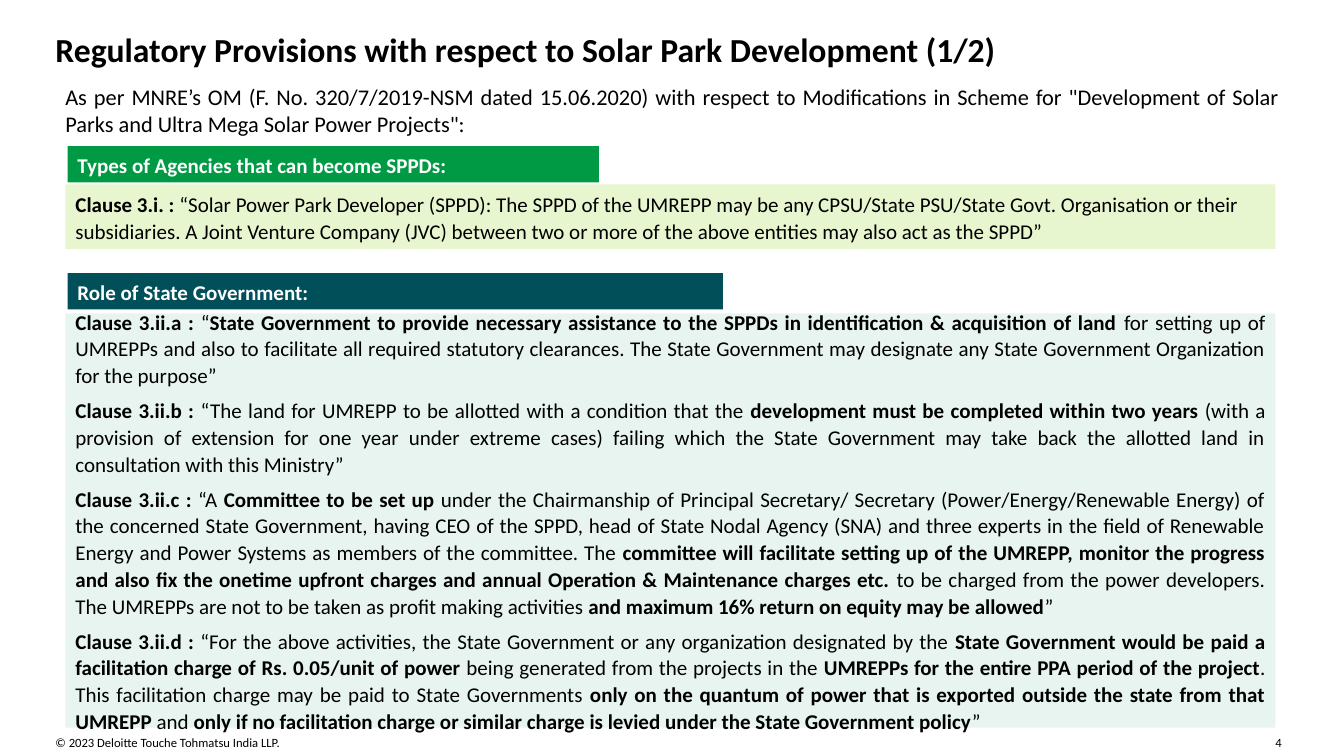
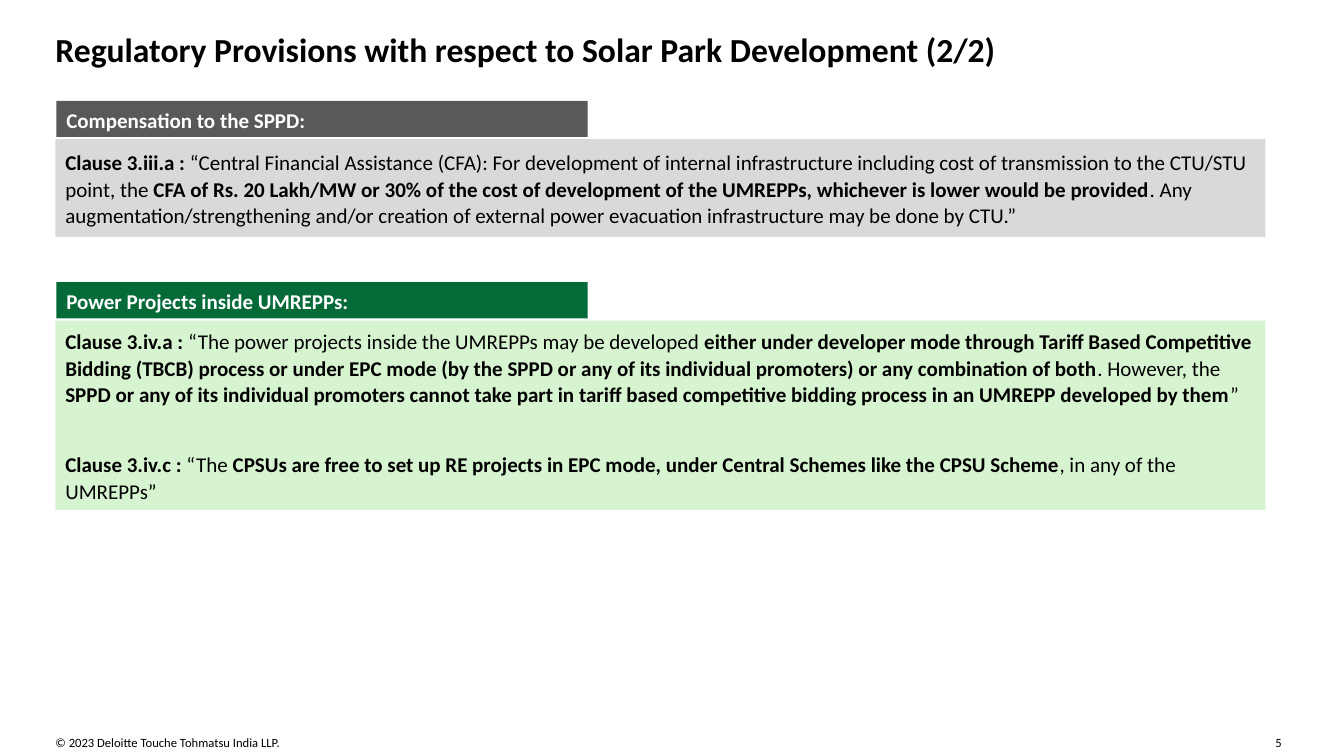
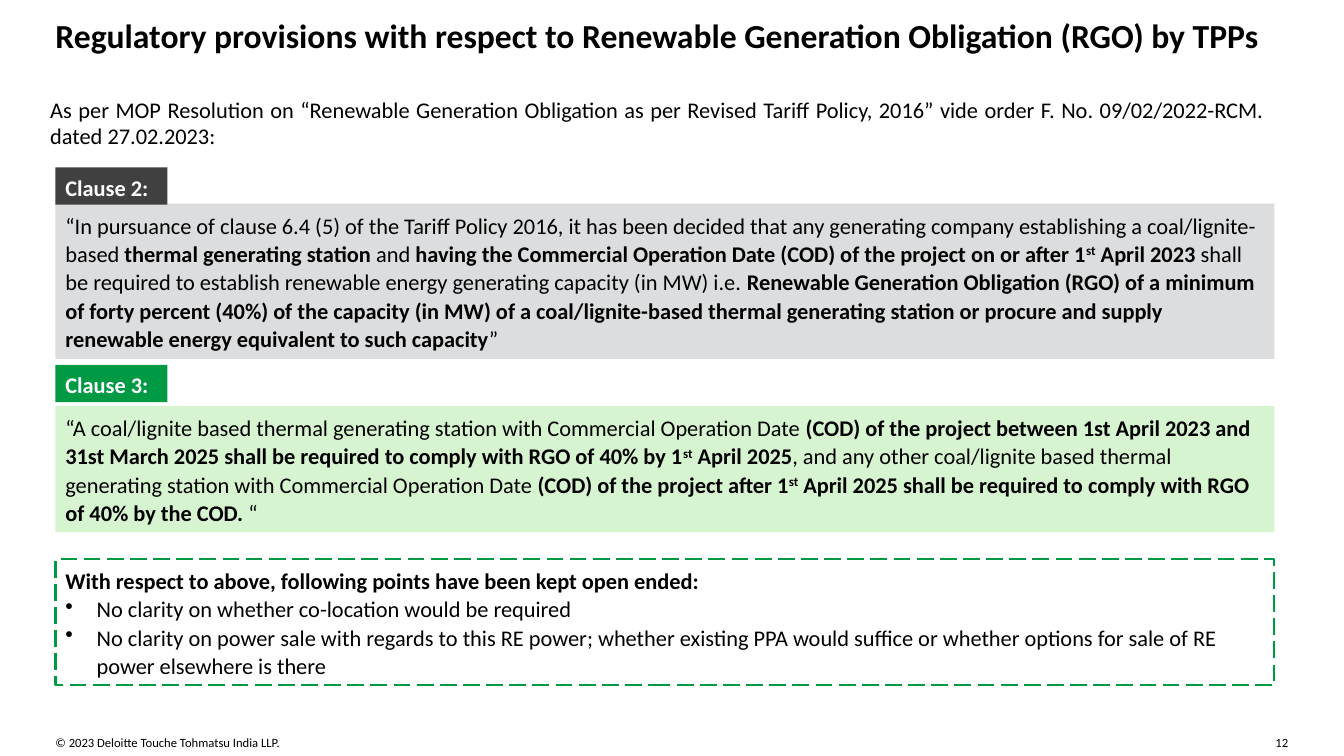
"""Build three slides on the regulatory provisions for solar parks and RGO."""
import lxml.etree
import pptx
import pptx.dml.color
import pptx.enum.dml
import pptx.enum.shapes
import pptx.enum.text
import pptx.oxml.ns
import pptx.util

Inches, Pt = pptx.util.Inches, pptx.util.Pt
LEFT, JUSTIFY = pptx.enum.text.PP_ALIGN.LEFT, pptx.enum.text.PP_ALIGN.JUSTIFY
TOP, MIDDLE = pptx.enum.text.MSO_ANCHOR.TOP, pptx.enum.text.MSO_ANCHOR.MIDDLE
FONT = "Calibri"
BLACK, WHITE, GREEN, LIGHT_GREEN = "000000", "FFFFFF", "009A44", "D7F4D0"
MARGIN = 0.55
FOOTER_TOP = 7.29
COPYRIGHT = "© 2023 Deloitte Touche Tohmatsu India LLP."


def rgb(value):
    """Turn a hex string into a colour."""
    return pptx.dml.color.RGBColor.from_string(value)


def apply(obj, fmt):
    """Set attributes of an object from a dict."""
    for name, value in fmt.items():
        setattr(obj, name, value)


def add_runs(p, text, size, color):
    """Write text in which ** switches bold and ^ switches superscript."""
    for i, part in enumerate(text.split("**")):
        for j, piece in enumerate(part.split("^")):
            if not piece:
                continue
            r = p.add_run()
            r.text = piece
            apply(r.font, {"name": FONT, "size": Pt(size), "bold": i % 2 == 1})
            r.font.color.rgb = rgb(color)
            if j % 2:
                r.font._element.set("baseline", "30000")


def add_bullet(p):
    """Give a paragraph a hanging bullet."""
    pPr = p._p.get_or_add_pPr()
    pPr.set("marL", str(Inches(0.31)))
    pPr.set("indent", str(-Inches(0.31)))
    lxml.etree.SubElement(pPr, pptx.oxml.ns.qn("a:buChar")).set("char", "•")


def fill_text(sp, paras, size, color=BLACK, inset=(0.1, 0.05), anchor=TOP,
              bulleted=False, gap=0, **fmt):
    """Write paragraphs into a shape."""
    tf = sp.text_frame
    dx, dy = Inches(inset[0]), Inches(inset[1])
    apply(tf, {"word_wrap": True, "vertical_anchor": anchor, "margin_left": dx,
               "margin_right": dx, "margin_top": dy, "margin_bottom": dy})
    for i, text in enumerate(paras):
        p = tf.add_paragraph() if i else tf.paragraphs[0]
        if i and bulleted:
            add_bullet(p)
        apply(p, {"alignment": LEFT, **fmt})
        if i and gap:
            p.space_before = Pt(gap)
        add_runs(p, text, size, color)


def add_text(s, at, text, size, **fmt):
    """Add a text box with one paragraph."""
    sp = s.shapes.add_textbox(*map(Inches, at))
    fill_text(sp, [text], size, **fmt)


def add_rect(s, at, fill=None):
    """Add a flat rectangle without outline."""
    sp = s.shapes.add_shape(pptx.enum.shapes.MSO_SHAPE.RECTANGLE, *map(Inches, at))
    sp.shadow.inherit = False
    sp.line.fill.background()
    if fill:
        sp.fill.solid()
        sp.fill.fore_color.rgb = rgb(fill)
    else:
        sp.fill.background()
    return sp


def add_heading(s, at, fill, text, size=15):
    """Add a coloured heading bar."""
    fill_text(add_rect(s, at, fill), [f"**{text}**"], size, WHITE, line_spacing=1.06)


def add_panel(s, at, fill, paras, size=15, **fmt):
    """Add a tinted panel of clauses."""
    fill_text(add_rect(s, at, fill), paras, size, inset=(0.1, 0.1), anchor=MIDDLE,
              **{"line_spacing": 1.06, "space_after": Pt(6), **fmt})


def add_open_points(s, at, paras):
    """Add a dashed box with a lead line and bullets."""
    sp = add_rect(s, at)
    sp.line.color.rgb = rgb(GREEN)
    apply(sp.line, {"width": Pt(1.5), "dash_style": pptx.enum.dml.MSO_LINE.LONG_DASH})
    fill_text(sp, paras, 16, inset=(0.1, 0.1), anchor=MIDDLE, bulleted=True,
              line_spacing=1.06)


def add_slide(prs, title, number, top=0.29):
    """Add a blank slide with title, copyright line and page number."""
    s = prs.slides.add_slide(prs.slide_layouts[6])
    add_text(s, (MARGIN, FOOTER_TOP, 5.86, 0.15), COPYRIGHT, 9, inset=(0, 0))
    add_text(s, (12.65, FOOTER_TOP, 0.15, 0.15), str(number), 9, inset=(0, 0))
    add_text(s, (MARGIN, top, 12.24, 0.37), f"**{title}**", 24, inset=(0, 0))
    return s


def agencies_slide(prs):
    """Build the slide on agencies and the role of the state."""
    s = add_slide(prs, "Regulatory Provisions with respect to Solar Park Development (1/2)", 4)
    add_text(s, (MARGIN, 0.78, 12.24, 0.64),
             "As per MNRE’s OM (F. No. 320/7/2019-NSM dated 15.06.2020) with respect to "
             "Modifications in Scheme for \"Development of Solar Parks and Ultra Mega Solar "
             "Power Projects\":", 16, alignment=JUSTIFY)
    add_panel(s, (0.65, 1.83, 12, 0.64), "E8F6CF", [
        "**Clause 3.i. :** “Solar Power Park Developer (SPPD): The SPPD of the UMREPP may be "
        "any CPSU/State PSU/State Govt. Organisation or their subsidiaries. A Joint Venture "
        "Company (JVC) between two or more of the above entities may also act as the SPPD”"])
    add_heading(s, (0.67, 1.45, 5.27, 0.36), GREEN, "Types of Agencies that can become SPPDs:")
    add_panel(s, (0.65, 3.11, 12, 4.11), "E8F4EF", [
        "**Clause 3.ii.a :** “**State Government to provide necessary assistance to the SPPDs "
        "in identification & acquisition of land** for setting up of UMREPPs and also to "
        "facilitate all required statutory clearances. The State Government may designate any "
        "State Government Organization for the purpose”",
        "**Clause 3.ii.b :** “The land for UMREPP to be allotted with a condition that the "
        "**development must be completed within two years **(with a provision of extension "
        "for one year under extreme cases) failing which the State Government may take back "
        "the allotted land in consultation with this Ministry”",
        "**Clause 3.ii.c :** “A **Committee to be set up **under the Chairmanship of Principal "
        "Secretary/ Secretary (Power/Energy/Renewable Energy) of the concerned State "
        "Government, having CEO of the SPPD, head of State Nodal Agency (SNA) and three "
        "experts in the field of Renewable Energy and Power Systems as members of the "
        "committee. The **committee will facilitate setting up of the UMREPP, monitor the "
        "progress and also fix the onetime upfront charges and annual Operation & Maintenance "
        "charges etc. **to be charged from the power developers. The UMREPPs are not to be "
        "taken as profit making activities **and maximum 16% return on equity may be "
        "allowed**”",
        "**Clause 3.ii.d :** “For the above activities, the State Government or any "
        "organization designated by the **State Government would be paid a facilitation charge "
        "of Rs. 0.05/unit of power** being generated from the projects in the **UMREPPs for "
        "the entire PPA period of the project**. This facilitation charge may be paid to State "
        "Governments **only on the quantum of power that is exported outside the state from "
        "that UMREPP** and **only if no facilitation charge or similar charge is levied under "
        "the State Government policy**”"], alignment=JUSTIFY)
    add_heading(s, (0.67, 2.71, 6.5, 0.36), "004F59", "Role of State Government:")


def compensation_slide(prs):
    """Build the slide on compensation and power projects."""
    s = add_slide(prs, "Regulatory Provisions with respect to Solar Park Development (2/2)", 5)
    add_panel(s, (MARGIN, 1.38, 12, 0.97), "D9D9D9", [
        "**Clause 3.iii.a :** “Central Financial Assistance (CFA): For development of internal "
        "infrastructure including cost of transmission to the CTU/STU point, the **CFA of Rs. "
        "20 Lakh/MW or 30% of the cost of development of the UMREPPs, whichever is lower would "
        "be provided**. Any augmentation/strengthening and/or creation of external power "
        "evacuation infrastructure may be done by CTU.”"])
    add_heading(s, (0.56, 1, 5.27, 0.36), "595959", "Compensation to the SPPD:")
    add_panel(s, (MARGIN, 3.18, 12, 1.88), LIGHT_GREEN, [
        "**Clause 3.iv.a :** “The power projects inside the UMREPPs may be developed **either "
        "under developer mode through Tariff Based Competitive Bidding (TBCB) process or under "
        "EPC mode (by the SPPD or any of its individual promoters) or any combination of "
        "both**. However, the **SPPD or any of its individual promoters cannot take part in "
        "tariff based competitive bidding process in an UMREPP developed by them**”",
        "**Clause 3.iv.c :** “The **CPSUs are free to set up RE projects in EPC mode, under "
        "Central Schemes like the CPSU Scheme**, in any of the UMREPPs”"], gap=25)
    add_heading(s, (0.56, 2.8, 5.27, 0.36), "046A38", "Power Projects inside UMREPPs:")


def obligation_slide(prs):
    """Build the slide on the renewable generation obligation."""
    s = add_slide(prs, "Regulatory provisions with respect to Renewable Generation Obligation "
                  "(RGO) by TPPs", 12, top=0.15)
    add_text(s, (0.4, 0.9, 12.24, 0.64),
             "As per MOP Resolution on “Renewable Generation Obligation as per Revised Tariff "
             "Policy, 2016” vide order F. No. 09/02/2022-RCM. dated 27.02.2023:",
             16, alignment=JUSTIFY)
    add_panel(s, (MARGIN, 2.02, 12.09, 1.54), "DCDDDF", [
        "“In pursuance of clause 6.4 (5) of the Tariff Policy 2016, it has been decided that "
        "any generating company establishing a coal/lignite-based **thermal generating station "
        "**and **having the Commercial Operation Date (COD) of the project on or after 1^st^ "
        "April 2023 **shall be required to establish renewable energy generating capacity (in "
        "MW) i.e. **Renewable Generation Obligation (RGO) of a minimum of forty percent (40%) "
        "of the capacity (in MW) of a coal/lignite-based thermal generating station or procure "
        "and supply renewable energy equivalent to such capacity**”"], 16)
    add_heading(s, (MARGIN, 1.66, 1.11, 0.37), "404040", "Clause 2:", 16)
    add_panel(s, (MARGIN, 4.03, 12.09, 1.25), LIGHT_GREEN, [
        "“A coal/lignite based thermal generating station with Commercial Operation Date "
        "**(COD) of the project between 1st April 2023 and 31st March 2025 shall be required "
        "to comply with RGO of 40% by 1^st^ April 2025**, and any other coal/lignite based "
        "thermal generating station with Commercial Operation Date **(COD) of the project "
        "after 1^st^ April 2025 shall be required to comply with RGO of 40% by the COD.** “"], 16)
    add_heading(s, (MARGIN, 3.62, 1.11, 0.37), GREEN, "Clause 3:", 16)
    add_open_points(s, (MARGIN, 5.55, 12.09, 1.25), [
        "**With respect to above, following points have been kept open ended:**",
        "No clarity on whether co-location would be required",
        "No clarity on power sale with regards to this RE power; whether existing PPA would "
        "suffice or whether options for sale of RE power elsewhere is there"])


def main():
    """Build and save the presentation."""
    prs = pptx.Presentation()
    apply(prs, {"slide_width": Inches(13.33), "slide_height": Inches(7.5)})
    agencies_slide(prs)
    compensation_slide(prs)
    obligation_slide(prs)
    prs.save("out.pptx")


if __name__ == "__main__":
    main()
